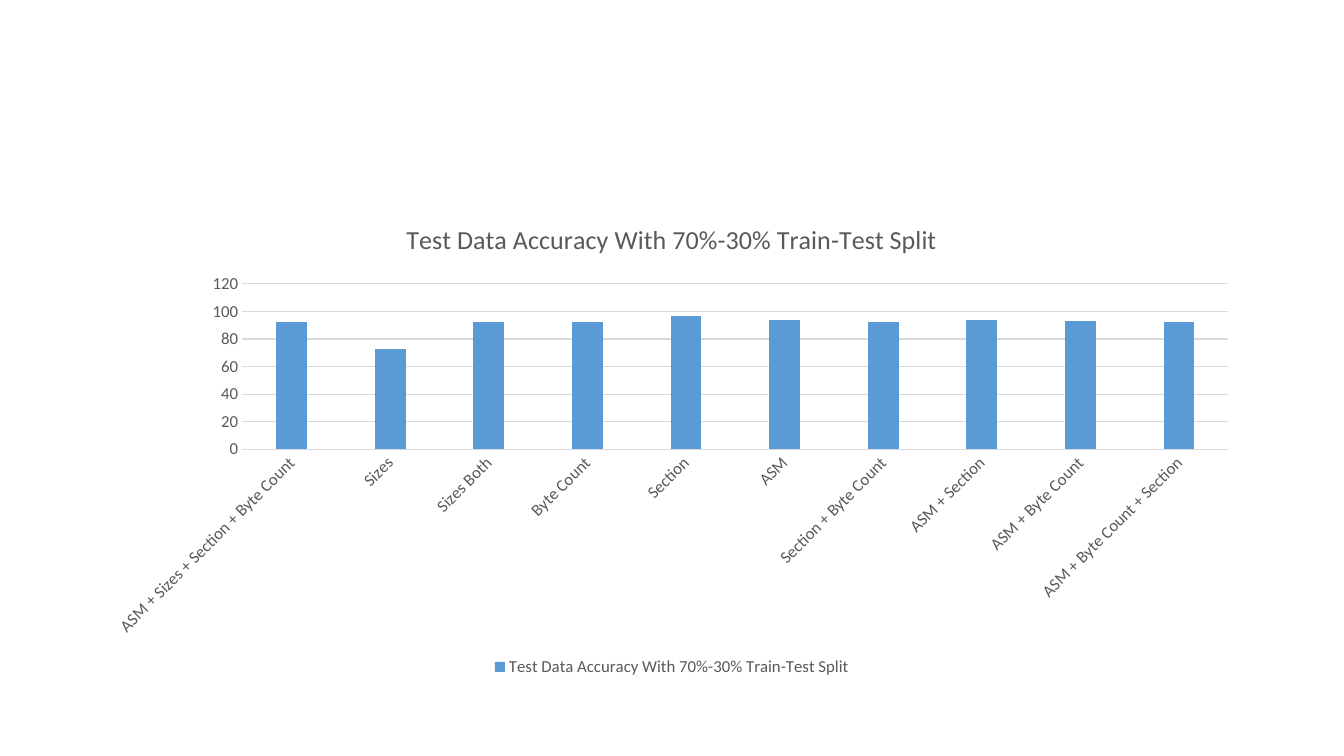
"""Build a slide with a column chart of test accuracy by feature set."""
from pptx import Presentation
from pptx.chart.data import CategoryChartData
from pptx.dml.color import RGBColor
from pptx.enum.chart import XL_CHART_TYPE as ChartType, XL_LEGEND_POSITION as LegendPlace
from pptx.enum.chart import XL_TICK_MARK as TickMark
from pptx.util import Pt

TITLE = "Test Data Accuracy With 70%-30% Train-Test Split"
TEXT, RULE, COLUMN = "595959", "D9D9D9", "5B9BD5"
ACCURACY = {
    "ASM\u00a0+\u00a0Sizes\u00a0+\u00a0Section\u00a0+\u00a0Byte Count": 92,
    "Sizes": 73,
    "Sizes Both": 92,
    "Byte Count": 92,
    "Section": 97,
    "ASM": 94,
    "Section\u00a0+\u00a0Byte Count": 92,
    "ASM\u00a0+\u00a0Section": 94,
    "ASM\u00a0+\u00a0Byte Count": 93,
    "ASM +\u00a0Byte Count\u00a0+\u00a0Section": 92,
}


def color(value):
    return RGBColor.from_string(value)


def apply(target, values):
    for name, value in values.items():
        setattr(target, name, value)


deck = Presentation()
apply(deck, {"slide_width": Pt(960), "slide_height": Pt(540)})
page = deck.slides.add_slide(deck.slide_layouts[6])

data = CategoryChartData()
data.categories = list(ACCURACY)
data.add_series(TITLE, list(ACCURACY.values()))
chart = page.shapes.add_chart(
    ChartType.COLUMN_CLUSTERED, Pt(66), Pt(143.75), Pt(828), Pt(342.63), data
).chart
apply(chart, {"has_title": True, "has_legend": True})
apply(chart.legend, {"position": LegendPlace.BOTTOM, "include_in_layout": False})

heading = chart.chart_title.text_frame
heading.text = TITLE
categories, values = chart.category_axis, chart.value_axis
fonts = [
    (chart.font, 10, "000000"),
    (heading.paragraphs[0].runs[0].font, 18.6, TEXT),
    (chart.legend.font, 12, TEXT),
    (categories.tick_labels.font, 12, TEXT),
    (values.tick_labels.font, 12, TEXT),
]
for font, size, shade in fonts:
    apply(font, {"name": "Calibri", "size": Pt(size), "bold": False})
    font.color.rgb = color(shade)

for axis in (categories, values):
    apply(axis, {"major_tick_mark": TickMark.NONE, "minor_tick_mark": TickMark.NONE})
apply(values, {"minimum_scale": 0, "maximum_scale": 120, "major_unit": 20})
values.format.line.fill.background()
for line in (categories.format.line, values.major_gridlines.format.line):
    line.width = Pt(0.75)
    line.color.rgb = color(RULE)
categories._element.txPr.bodyPr.set("rot", "-2700000")

plot = chart.plots[0]
apply(plot, {"gap_width": 219, "overlap": -27, "vary_by_categories": False})
columns = plot.series[0].format
columns.fill.solid()
columns.fill.fore_color.rgb = color(COLUMN)
columns.line.fill.background()

deck.save("out.pptx")
